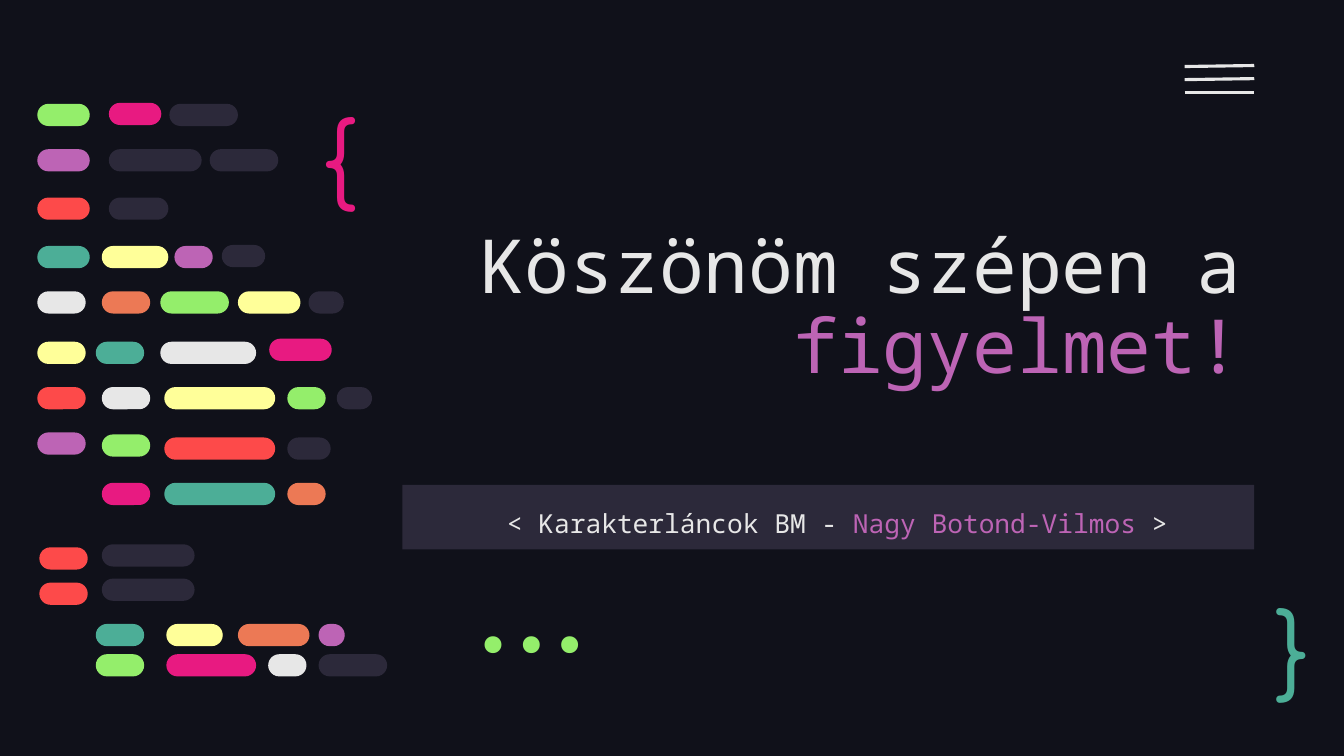
"""Build a closing slide decorated with abstract lines of code."""
from lxml import etree
from pptx import Presentation
from pptx.dml.color import RGBColor
from pptx.enum import shapes, text
from pptx.oxml import ns
from pptx.util import Inches, Pt

NIGHT = RGBColor(0x10, 0x11, 0x1A)
SLATE = RGBColor(0x2C, 0x29, 0x3A)
WHITE = RGBColor(0xE7, 0xE7, 0xE7)
PURPLE = RGBColor(0xBD, 0x64, 0xB5)
PINK = RGBColor(0xE8, 0x1A, 0x81)
TEAL = RGBColor(0x4C, 0xAE, 0x97)
GREEN = RGBColor(0x94, 0xEE, 0x6B)
RED = RGBColor(0xFD, 0x4A, 0x4A)
YELLOW = RGBColor(0xFF, 0xFF, 0x99)
ORANGE = RGBColor(0xEC, 0x79, 0x55)

MONO = "Noto Sans Mono"
INSET = 0.13
PILL_HEIGHT = 0.22

CODE_ROWS = [
    (1.02, [(1.08, 0.52, PINK)]),
    (1.03, [(0.37, 0.52, GREEN), (1.68, 0.68, SLATE)]),
    (1.48, [(0.37, 0.52, PURPLE), (1.08, 0.92, SLATE), (2.08, 0.68, SLATE)]),
    (1.96, [(0.37, 0.52, RED), (1.08, 0.59, SLATE)]),
    (2.43, [(2.2, 0.43, SLATE)]),
    (2.44, [(0.37, 0.52, TEAL), (1.01, 0.66, YELLOW), (1.73, 0.38, PURPLE)]),
    (2.89, [(0.37, 0.48, WHITE), (1.01, 0.48, ORANGE), (1.59, 0.68, GREEN),
            (2.36, 0.62, YELLOW), (3.06, 0.35, SLATE)]),
    (3.36, [(2.67, 0.62, PINK)]),
    (3.39, [(0.37, 0.48, YELLOW), (0.95, 0.48, TEAL), (1.59, 0.95, WHITE)]),
    (3.84, [(0.37, 0.48, RED), (1.01, 0.48, WHITE), (1.63, 1.1, YELLOW),
            (2.85, 0.38, GREEN), (3.34, 0.35, SLATE)]),
    (4.29, [(0.37, 0.48, PURPLE)]),
    (4.31, [(1.01, 0.48, GREEN)]),
    (4.34, [(1.63, 1.1, RED), (2.85, 0.43, SLATE)]),
    (4.79, [(1.01, 0.48, PINK), (1.63, 1.1, TEAL), (2.85, 0.38, ORANGE)]),
    (5.4, [(1.01, 0.92, SLATE)]),
    (5.43, [(0.39, 0.48, RED)]),
    (5.74, [(1.01, 0.92, SLATE)]),
    (5.78, [(0.39, 0.48, RED)]),
    (6.19, [(0.95, 0.48, TEAL), (1.65, 0.56, YELLOW), (2.36, 0.71, ORANGE),
            (3.16, 0.26, PURPLE)]),
    (6.49, [(0.95, 0.48, GREEN), (1.65, 0.89, PINK), (2.66, 0.38, WHITE),
            (3.16, 0.68, SLATE)]),
]


def place(shape, left, top, width, height):
    """Move and size a shape, in inches."""
    shape.left, shape.top = Inches(left), Inches(top)
    shape.width, shape.height = Inches(width), Inches(height)


def format_frame(frame, anchor, bottom=INSET):
    """Set wrapping, anchor and insets of a text frame."""
    frame.word_wrap = True
    frame.auto_size = text.MSO_AUTO_SIZE.NONE
    frame.vertical_anchor = anchor
    frame.margin_left = frame.margin_right = frame.margin_top = Inches(INSET)
    frame.margin_bottom = Inches(bottom)


def write_runs(paragraph, runs, font, alignment, spacing=1.0):
    """Fill a paragraph with (wording, size, colour) runs."""
    paragraph.alignment = alignment
    paragraph.line_spacing = spacing
    paragraph.space_before = Pt(0)
    for wording, size, colour in runs:
        run = paragraph.add_run()
        run.text = wording
        run.font.name = font
        run.font.size = Pt(size)
        run.font.color.rgb = colour


def fill_title(title):
    """Write the closing words, raised above the subtitle by one line."""
    place(title, 3.99, 1.84, 8.45, 2.97)
    format_frame(title.text_frame, text.MSO_ANCHOR.BOTTOM, bottom=0.94)
    runs = [("Köszönöm szépen a ", 53.3, WHITE), ("figyelmet!", 53.3, PURPLE)]
    write_runs(title.text_frame.paragraphs[0], runs, MONO, text.PP_ALIGN.RIGHT, 0.9)


def fill_subtitle(subtitle):
    """Write the topic and author on a slate bar."""
    place(subtitle, 3.99, 4.81, 8.45, 0.64)
    subtitle.fill.solid()
    subtitle.fill.fore_color.rgb = SLATE
    format_frame(subtitle.text_frame, text.MSO_ANCHOR.TOP)
    runs = [(" ", 21.3, WHITE), ("< Karakterláncok BM - ", 18.7, WHITE),
            ("Nagy Botond-Vilmos", 18.7, PURPLE), (" >", 18.7, WHITE)]
    write_runs(subtitle.text_frame.paragraphs[0], runs, MONO, text.PP_ALIGN.CENTER, 1.15)


def add_symbol(slide, symbol, box, font, colour, anchor, alignment=text.PP_ALIGN.LEFT):
    """Add a large code symbol as text."""
    textbox = slide.shapes.add_textbox(*map(Inches, box))
    format_frame(textbox.text_frame, anchor)
    write_runs(textbox.text_frame.paragraphs[0], [(symbol, 66.7, colour)], font, alignment)


def add_menu_line(group, start_y, end_y):
    """Add one line of the menu icon."""
    line = group.shapes.add_connector(shapes.MSO_CONNECTOR.STRAIGHT, Inches(11.75),
                                      Inches(start_y), Inches(12.44), Inches(end_y))
    line.line.color.rgb = WHITE
    line.line.width = Pt(2.25)
    etree.SubElement(line._element.spPr, ns.qn("a:effectLst"))


def add_pill(group, left, top, width, colour):
    """Add one rounded piece of abstract code."""
    pill = group.shapes.add_shape(shapes.MSO_SHAPE.ROUNDED_RECTANGLE, Inches(left),
                                  Inches(top), Inches(width), Inches(PILL_HEIGHT))
    pill.adjustments[0] = 0.5
    pill.shadow.inherit = False
    pill.fill.solid()
    pill.fill.fore_color.rgb = colour
    pill.line.fill.background()


def main():
    """Build and save the slide."""
    presentation = Presentation()
    presentation.slide_width = Inches(13.33)
    presentation.slide_height = Inches(7.5)
    slide = presentation.slides.add_slide(presentation.slide_layouts[0])
    slide.background.fill.solid()
    slide.background.fill.fore_color.rgb = NIGHT

    fill_title(slide.shapes.title)
    fill_subtitle(slide.placeholders[1])
    add_symbol(slide, "{", (3.06, 0.83, 1.03, 1.27), "Comfortaa", PINK, text.MSO_ANCHOR.TOP)
    add_symbol(slide, "}", (12.52, 5.84, 0.76, 1.11), "Comfortaa", TEAL,
               text.MSO_ANCHOR.MIDDLE)
    add_symbol(slide, "...", (4.15, 5.99, 2.11, 0.8), "Fira Code", GREEN,
               text.MSO_ANCHOR.BOTTOM, text.PP_ALIGN.RIGHT)

    menu = slide.shapes.add_group_shape()
    for start_y, end_y in [(0.66, 0.65), (0.79, 0.78), (0.92, 0.92)]:
        add_menu_line(menu, start_y, end_y)

    code = slide.shapes.add_group_shape()
    for top, pills in CODE_ROWS:
        for left, width, colour in pills:
            add_pill(code, left, top, width, colour)

    presentation.save("out.pptx")


if __name__ == "__main__":
    main()
